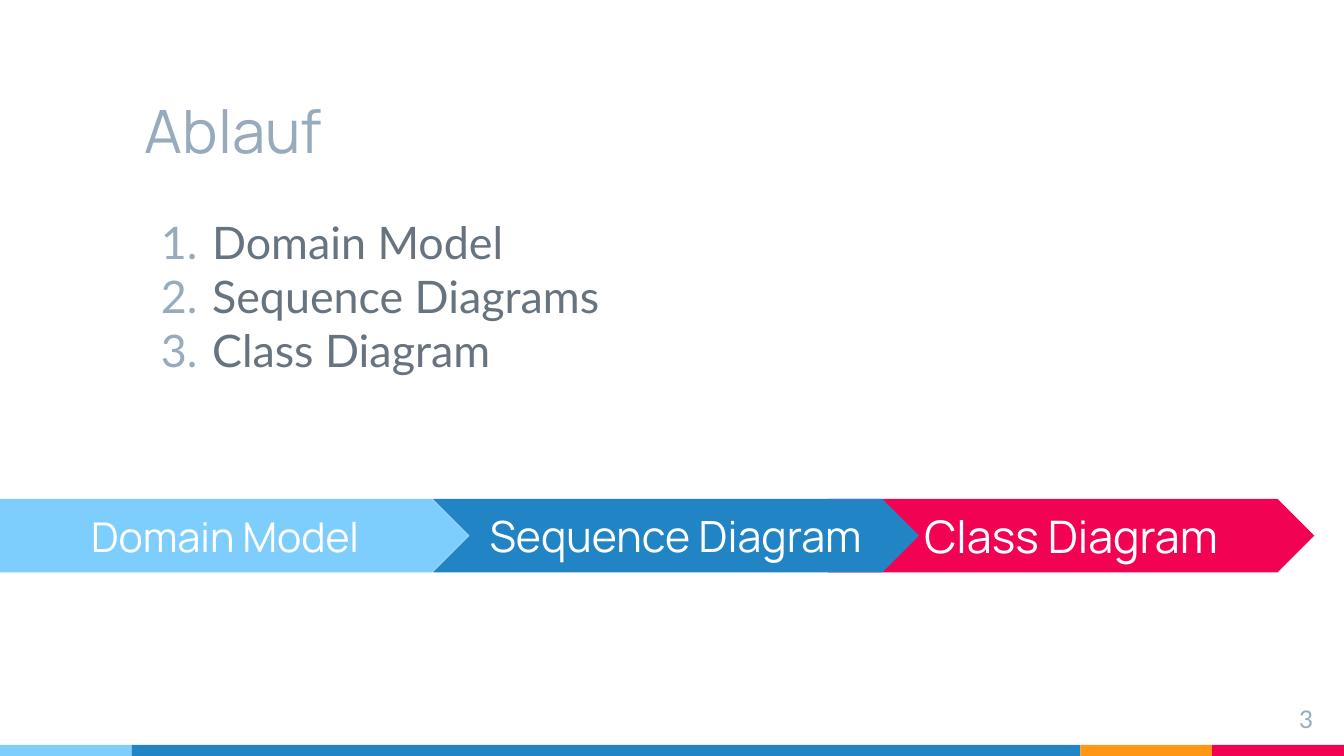
from lxml.etree import SubElement
from pptx import Presentation
from pptx.dml.color import RGBColor
from pptx.enum.shapes import MSO_SHAPE as Shape
from pptx.enum.text import MSO_ANCHOR as Anchor, MSO_AUTO_SIZE as AutoSize, PP_ALIGN as Align
from pptx.oxml.ns import qn
from pptx.util import Cm, Pt

COLORS = {
    "sky": "7ECEFD",
    "blue": "2185C5",
    "orange": "FF9715",
    "red": "F20253",
    "mist": "97ABBC",
    "slate": "677480",
    "white": "FFFFFF",
}
WIDTH, HEIGHT = 25.4, 14.29
STRIPE_HEIGHT = 0.21
MARGIN = 2.49
CONTENT_WIDTH = WIDTH - 3 * MARGIN

deck = Presentation()
deck.slide_width, deck.slide_height = Cm(WIDTH), Cm(HEIGHT)
page = deck.slides.add_slide(deck.slide_layouts[5])


def format_text(box, lines, font_name, size, color, align, anchor):
    frame = box.text_frame
    frame.text = "\n".join(lines)
    frame.word_wrap = True
    frame.auto_size = AutoSize.NONE
    frame.vertical_anchor = anchor
    frame.margin_left = frame.margin_right = Cm(0.25)
    frame.margin_top = frame.margin_bottom = Cm(0.25)
    for para in frame.paragraphs:
        para.alignment = align
        para.font.name = font_name
        para.font.size = Pt(size)
        para.font.color.rgb = RGBColor.from_string(COLORS[color])


def add_filled(kind, left, top, width, height, color):
    shape = page.shapes.add_shape(kind, Cm(left), Cm(top), Cm(width), Cm(height))
    shape.shadow.inherit = False
    shape.fill.solid()
    shape.fill.fore_color.rgb = RGBColor.from_string(COLORS[color])
    shape.line.fill.background()
    return shape


left = 0
for color, width in [("sky", MARGIN), ("blue", CONTENT_WIDTH), ("orange", MARGIN), ("red", MARGIN)]:
    add_filled(Shape.RECTANGLE, left, HEIGHT - STRIPE_HEIGHT, width, STRIPE_HEIGHT, color)
    left += width

title = page.shapes.title
title.left, title.top = Cm(MARGIN), Cm(0.99)
title.width, title.height = Cm(CONTENT_WIDTH), Cm(2.39)
format_text(title, ["Ablauf"], "Manrope", 32, "mist", Align.LEFT, Anchor.BOTTOM)

agenda = page.shapes.add_textbox(Cm(MARGIN), Cm(3.81), Cm(CONTENT_WIDTH), Cm(9.86))
topics = ["Domain Model", "Sequence Diagrams", "Class Diagram"]
format_text(agenda, topics, "Lato", 24, "slate", Align.LEFT, Anchor.TOP)
agenda.text_frame.paragraphs[0].space_before = Pt(6)
for para in agenda.text_frame.paragraphs:
    properties = para._p.get_or_add_pPr()
    properties.set("marL", str(Cm(1.27)))
    properties.set("indent", str(Cm(-0.97)))
    defaults = properties.find(qn("a:defRPr"))
    bullet_color = SubElement(properties, qn("a:buClr"))
    SubElement(bullet_color, qn("a:srgbClr"), val=COLORS["mist"])
    SubElement(properties, qn("a:buAutoNum"), type="arabicPeriod")
    properties.append(defaults)

page_number = page.shapes.add_textbox(Cm(23.55), Cm(13.06), Cm(1.52), Cm(0.86))
format_text(page_number, ["3"], "Lato", 13, "mist", Align.RIGHT, Anchor.TOP)

steps = [
    ("Class Diagram", Shape.CHEVRON, 15.65, 9.19, "red", 24),
    ("Domain Model", Shape.PENTAGON, 0, 8.86, "sky", 22),
    ("Sequence Diagram", Shape.CHEVRON, 8.18, 9.19, "blue", 23),
]
for label, kind, left, width, color, size in steps:
    step = add_filled(kind, left, 9.43, width, 1.39, color)
    step.adjustments[0] = 0.5
    format_text(step, [label], "Manrope", size, "white", Align.CENTER, Anchor.MIDDLE)

deck.save("out.pptx")
